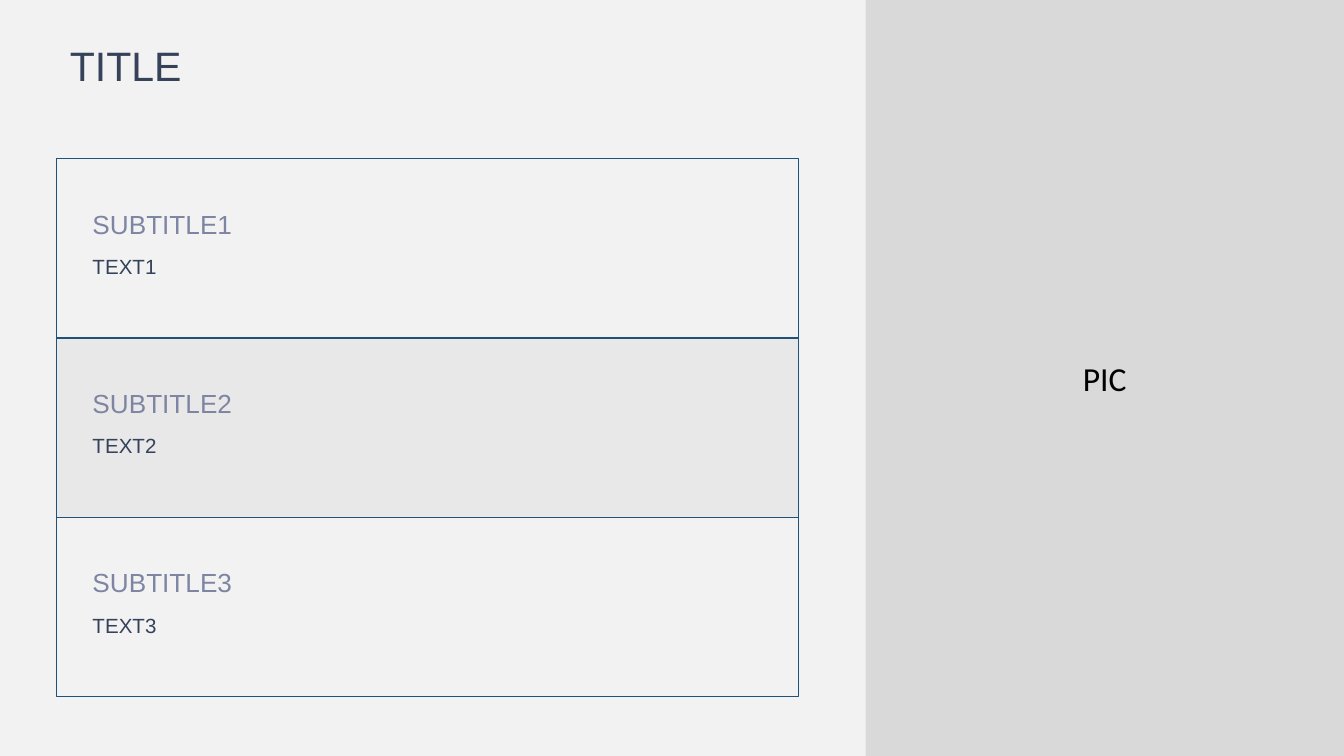
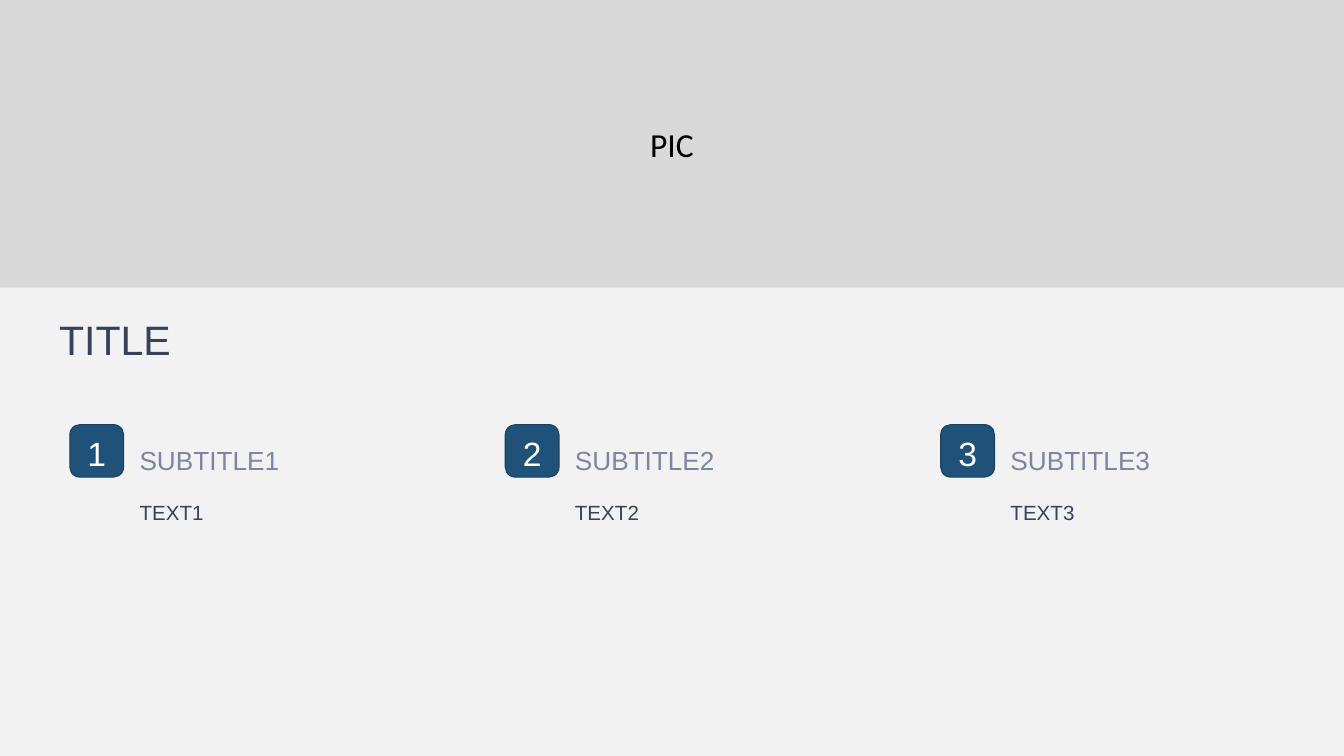
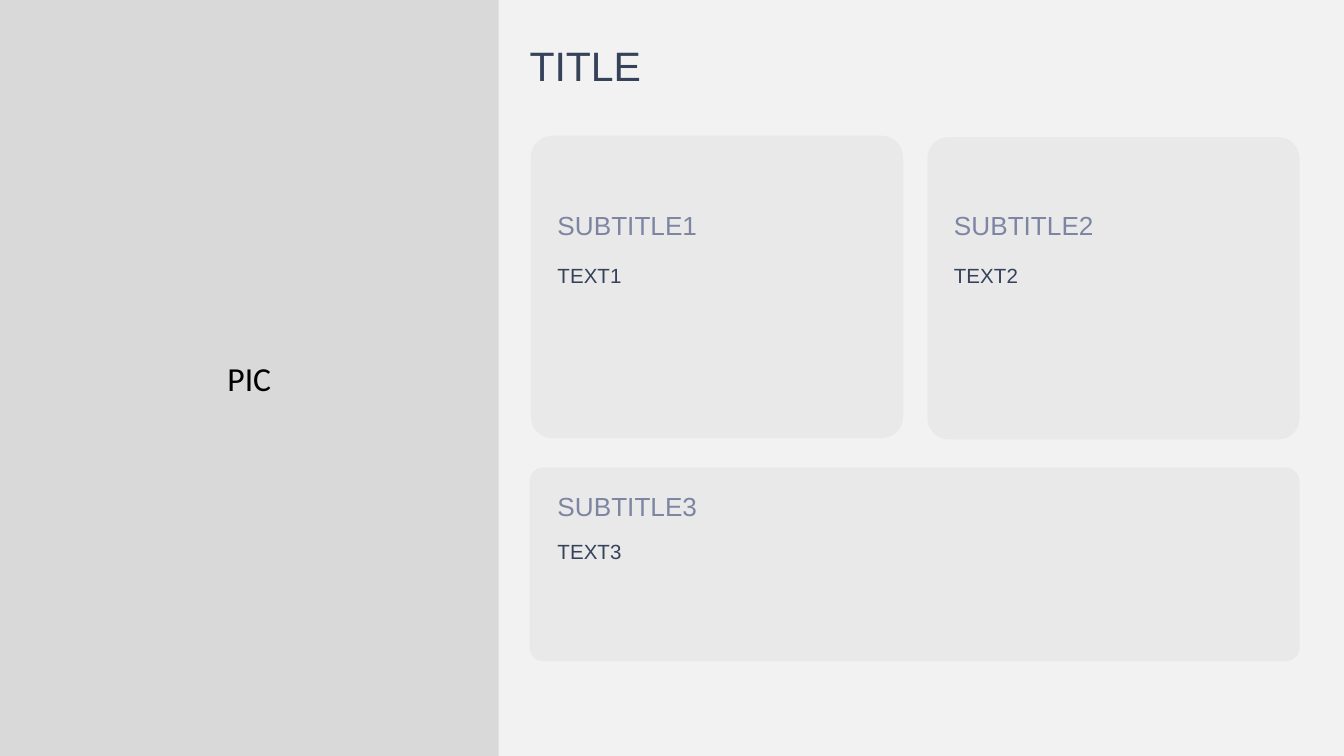
from dataclasses import dataclass
from typing import Optional

import pptx
import pptx.dml.color
import pptx.enum.shapes
import pptx.enum.text
import pptx.oxml
import pptx.oxml.ns
import pptx.util
from pptx.util import Inches

COLORS = {
    "background": "F2F2F2",
    "picture": "D9D9D9",
    "card": "E9E9E9",
    "accent": "205279",
    "badge_line": "1A4260",
    "subtitle": "7D85A3",
    "text": "354259",
    "white": "FFFFFF",
    "black": "000000",
}
SLIDE_WIDTH = 10
SLIDE_HEIGHT = SLIDE_WIDTH * 9 / 16
TITLE_ONLY_LAYOUT = 5

ALIGN = pptx.enum.text.PP_ALIGN
ANCHOR = pptx.enum.text.MSO_ANCHOR
AUTO_SIZE = pptx.enum.text.MSO_AUTO_SIZE
SHAPE = pptx.enum.shapes.MSO_SHAPE


@dataclass(frozen=True)
class Box:
    left: float
    top: float
    width: float
    height: float

    def lengths(self) -> list:
        return [Inches(value) for value in (self.left, self.top, self.width, self.height)]


@dataclass(frozen=True)
class TextStyle:
    size: float
    color: str
    font: str = "Arial"
    align: ALIGN = ALIGN.LEFT
    anchor: ANCHOR = ANCHOR.TOP


@dataclass(frozen=True)
class PanelStyle:
    fill: str
    opacity: int = 100
    line: Optional[str] = None
    line_width: float = 0
    corner: float = 0


@dataclass(frozen=True)
class Entry:
    number: int
    subtitle_box: Box
    text_box: Box


TITLE = TextStyle(22, "text")
SUBTITLE = TextStyle(14, "subtitle", anchor=ANCHOR.BOTTOM)
BODY = TextStyle(11, "text")
NUMBER = TextStyle(18, "white", align=ALIGN.CENTER)
PICTURE_LABEL = TextStyle(18, "black", "Calibri", ALIGN.CENTER, ANCHOR.MIDDLE)

PICTURE_AREA = PanelStyle("picture")
LIGHT_ROW = PanelStyle("white", opacity=4, line="accent")
DARK_ROW = PanelStyle("black", opacity=4, line="accent")
BADGE = PanelStyle("accent", line="badge_line", line_width=0.6, corner=0.19)
CARD = PanelStyle("card", corner=0.07)


def rgb(name: str) -> pptx.dml.color.RGBColor:
    return pptx.dml.color.RGBColor.from_string(COLORS[name])


def write(shape, text: str, style: TextStyle) -> None:
    frame = shape.text_frame
    frame.text = text
    frame.word_wrap = True
    frame.auto_size = AUTO_SIZE.NONE
    frame.vertical_anchor = style.anchor
    paragraph = frame.paragraphs[0]
    paragraph.alignment = style.align
    paragraph.font.size = pptx.util.Pt(style.size)
    paragraph.font.name = style.font
    paragraph.font.color.rgb = rgb(style.color)


def add_text(slide, box: Box, text: str, style: TextStyle) -> None:
    write(slide.shapes.add_textbox(*box.lengths()), text, style)


def add_panel(slide, box: Box, style: PanelStyle):
    preset = SHAPE.ROUNDED_RECTANGLE if style.corner else SHAPE.RECTANGLE
    shape = slide.shapes.add_shape(preset, *box.lengths())
    if style.corner:
        shape.adjustments[0] = style.corner
    shape.shadow.inherit = False
    shape.fill.solid()
    shape.fill.fore_color.rgb = rgb(style.fill)
    if style.opacity < 100:
        color = shape._element.spPr.find(".//" + pptx.oxml.ns.qn("a:srgbClr"))
        alpha = pptx.oxml.parse_xml(
            f'<a:alpha {pptx.oxml.ns.nsdecls("a")} val="{style.opacity * 1000}"/>'
        )
        color.append(alpha)
    if style.line:
        shape.line.color.rgb = rgb(style.line)
        shape.line.width = pptx.util.Pt(style.line_width)
    else:
        shape.line.fill.background()
    return shape


def add_picture_area(slide, box: Box) -> None:
    write(add_panel(slide, box, PICTURE_AREA), "PIC", PICTURE_LABEL)


def add_entry(slide, entry: Entry) -> None:
    add_text(slide, entry.subtitle_box, f"SUBTITLE{entry.number}", SUBTITLE)
    add_text(slide, entry.text_box, f"TEXT{entry.number}", BODY)


def add_slide(presentation, title_box: Box, picture_box: Box):
    slide = presentation.slides.add_slide(presentation.slide_layouts[TITLE_ONLY_LAYOUT])
    slide.background.fill.solid()
    slide.background.fill.fore_color.rgb = rgb("background")
    title = slide.shapes.title
    title.left, title.top, title.width, title.height = title_box.lengths()
    write(title, "TITLE", TITLE)
    add_picture_area(slide, picture_box)
    return slide


def build_rows_slide(presentation) -> None:
    slide = add_slide(
        presentation, Box(0.42, 0.25, 5.5, 0.93), Box(6.44, 0, 3.56, SLIDE_HEIGHT)
    )
    first_top, last_top = 1.18, 3.85
    row_height = (last_top - first_top) / 2
    for index, style in enumerate((LIGHT_ROW, DARK_ROW, LIGHT_ROW)):
        top = first_top + index * row_height
        add_panel(slide, Box(0.42, top, 5.52, row_height), style)
        add_entry(
            slide,
            Entry(index + 1, Box(0.59, top + 0.05, 5.16, 0.6), Box(0.59, top + 0.66, 5.16, 0.56)),
        )


def build_columns_slide(presentation) -> None:
    slide = add_slide(
        presentation, Box(0.34, 2.29, 9.25, 0.75), Box(0, 0, SLIDE_WIDTH, 2.14)
    )
    for index, text_width in enumerate((2.57, 2.57, 2.51)):
        left = 0.52 + index * 3.24
        text_left = left + 0.42
        add_entry(
            slide,
            Entry(
                index + 1,
                Box(text_left, 2.81, text_width, 0.78),
                Box(text_left, 3.67, text_width, 1.71),
            ),
        )
        add_panel(slide, Box(left, 3.16, 0.4, 0.39), BADGE)
        add_text(slide, Box(left, 3.17, 0.4, 0.4), str(index + 1), NUMBER)


def build_cards_slide(presentation) -> None:
    slide = add_slide(
        presentation, Box(3.84, 0.25, 5.75, 0.76), Box(0, 0, 3.71, SLIDE_HEIGHT)
    )
    cards = (
        Box(3.95, 1.01, 2.77, 2.25),
        Box(6.9, 1.02, 2.77, 2.25),
        Box(3.94, 3.48, 5.73, 1.44),
    )
    entries = (
        Entry(1, Box(4.05, 1.06, 2.56, 0.78), Box(4.05, 1.91, 2.56, 1.25)),
        Entry(2, Box(7, 1.06, 2.56, 0.78), Box(7, 1.91, 2.56, 1.25)),
        Entry(3, Box(4.05, 3.57, 5.73, 0.36), Box(4.05, 3.96, 5.63, 0.78)),
    )
    for card, entry in zip(cards, entries):
        add_panel(slide, card, CARD)
        add_entry(slide, entry)


def main() -> None:
    presentation = pptx.Presentation()
    presentation.slide_width = Inches(SLIDE_WIDTH)
    presentation.slide_height = Inches(SLIDE_HEIGHT)
    build_rows_slide(presentation)
    build_columns_slide(presentation)
    build_cards_slide(presentation)
    presentation.save("out.pptx")


if __name__ == "__main__":
    main()
